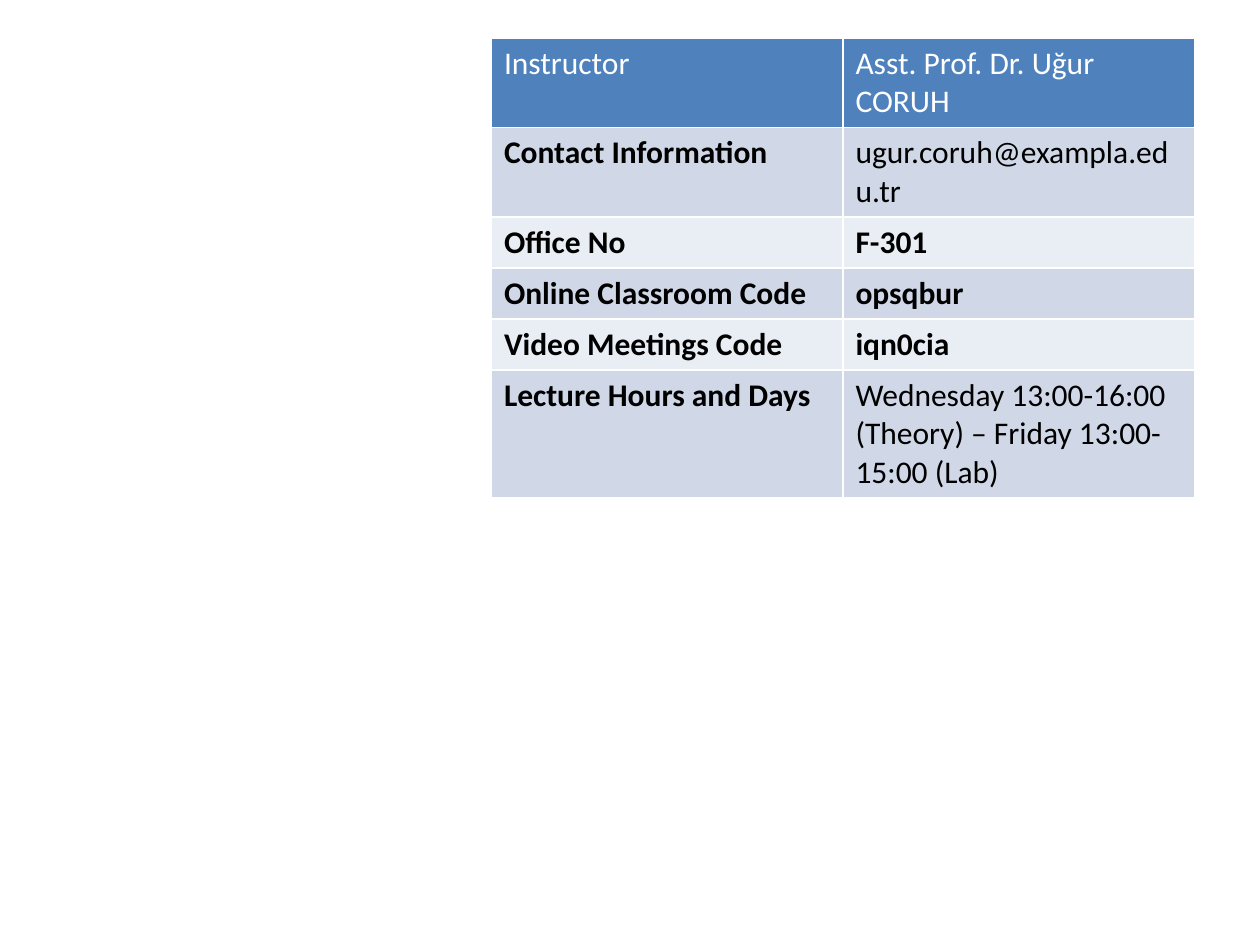
from lxml.etree import SubElement
from pptx import Presentation
from pptx.dml.color import RGBColor as Rgb
from pptx.oxml.ns import qn
from pptx.util import Inches, Pt

COLORS = {
    "header": "4F81BD",
    "odd": "D0D8E8",
    "even": "E9EDF4",
    "rule": "FFFFFF",
    "header_text": "FFFFFF",
    "text": "000000",
}
SLIDE_W, SLIDE_H = 10, 7.5
LINE_H, CELL_PAD = 0.305, 0.1

COURSE_FACTS = [
    ("Instructor", "Asst. Prof.\u00a0Dr.\u00a0Uğur CORUH", False, 2),
    ("Contact Information", "ugur.coruh@exampla.edu.tr", False, 2),
    ("Office No", "F-301", True, 1),
    ("Online Classroom Code", "opsqbur", True, 1),
    ("Video Meetings Code", "iqn0cia", True, 1),
    ("Lecture Hours and Days",
     "Wednesday 13:00-16:00 (Theory) – Friday 13:00-15:00 (Lab)", False, 3),
]


def write(frame, words, size=18, color="text", bold=False, font="Calibri"):
    run = frame.paragraphs[0].add_run()
    run.text = words
    run.font.name = font
    run.font.size = Pt(size)
    run.font.bold = bold
    run.font.color.rgb = Rgb.from_string(COLORS[color])


def rule_cell(cell, color="rule", width=1):
    props = cell._tc.get_or_add_tcPr()
    for place, side in enumerate(("lnL", "lnR", "lnT", "lnB")):
        line = props.makeelement(qn(f"a:{side}"), {"w": str(Pt(width))})
        solid = SubElement(line, qn("a:solidFill"))
        SubElement(solid, qn("a:srgbClr"), val=COLORS[color])
        props.insert(place, line)


def course_table(slide, left, top, width, facts):
    heights = [Inches(lines * LINE_H + CELL_PAD) for *_, lines in facts]
    table = slide.shapes.add_table(
        len(facts), 2, left, top, width, sum(heights)).table
    for row, (label, value, strong, _) in enumerate(facts):
        table.rows[row].height = heights[row]
        header = row == 0
        band = "header" if header else ("even", "odd")[row % 2]
        ink = "header_text" if header else "text"
        for col, (words, bold) in enumerate(((label, not header), (value, strong))):
            cell = table.cell(row, col)
            cell.fill.solid()
            cell.fill.fore_color.rgb = Rgb.from_string(COLORS[band])
            rule_cell(cell)
            write(cell.text_frame, words, color=ink, bold=bold)


deck = Presentation()
deck.slide_width, deck.slide_height = Inches(SLIDE_W), Inches(SLIDE_H)
course_slide = deck.slides.add_slide(deck.slide_layouts[6])
course_table(course_slide, Inches(3.9), Inches(0.3), Inches(5.58), COURSE_FACTS)
deck.save("out.pptx")
